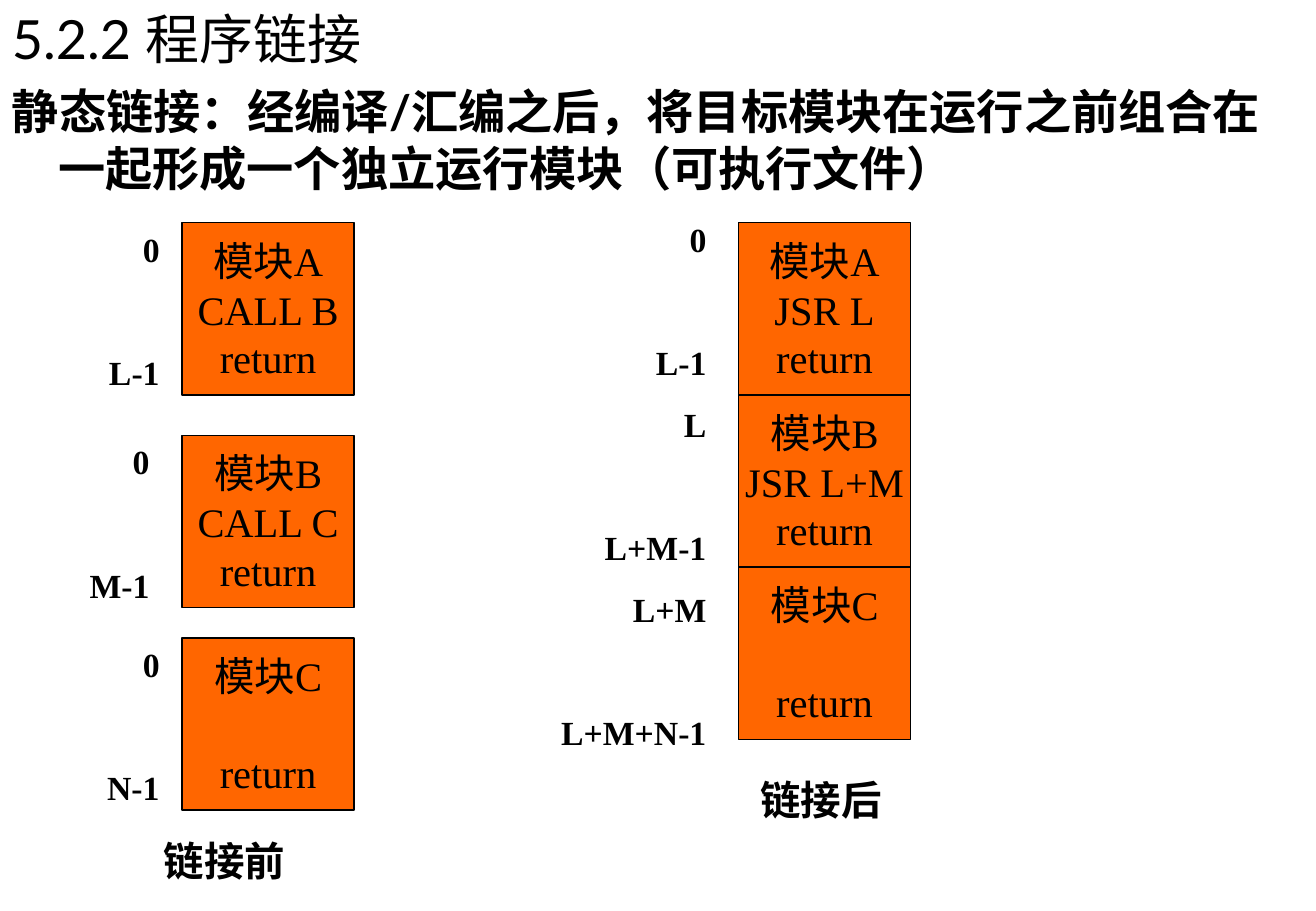
import pptx
import pptx.dml.color
import pptx.enum.shapes
import pptx.enum.text
import pptx.oxml
import pptx.oxml.ns
import pptx.util
from pptx.util import Cm

ALIGN = pptx.enum.text.PP_ALIGN
ANCHOR = pptx.enum.text.MSO_ANCHOR
AUTO_SIZE = pptx.enum.text.MSO_AUTO_SIZE

# Content: None marks an empty line's height between two lines
HEADING = "5.2.2 程序链接"
DEFINITION = "静态链接：经编译/汇编之后，将目标模块在运行之前组合在一起形成一个独立运行模块（可执行文件）"

# top, lines, left of the address labels, address labels
MODULES_BEFORE = [
    (4.66, ["模块A", "CALL B", "return"], 1.48, ["0", None, "L-1"]),
    (9.1, ["模块B", "CALL C", "return"], 1.27, ["0", None, "M-1"]),
    (13.34, ["模块C", None, "return"], 1.48, ["0", None, "N-1"]),
]
MODULES_AFTER = [
    ["模块A", "JSR L", "return"],
    ["模块B", "JSR L+M", "return"],
    ["模块C", None, "return"],
]
ADDRESSES_AFTER = ["0", None, "L-1", "L", None, "L+M-1", "L+M", None, "L+M+N-1"]
CAPTIONS = [("链接后", 15.66, 16.09), ("链接前", 3.18, 17.36)]

# Layout in centimetres
MODULE_SIZE = 3.6
BEFORE_LEFT, AFTER_LEFT = 3.81, 15.45
STACK_TOP = 4.66
LINE_HEIGHT = 1.2
SERIF, SANS = "Times New Roman", "Lato"
BLACK, ORANGE = "000000", "FF6600"


def colour(hex_code):
    return pptx.dml.color.RGBColor.from_string(hex_code)


def format_paragraph(para, size, font, bold=False, align=ALIGN.LEFT, before=0):
    para.alignment = align
    para.line_spacing = pptx.util.Pt(size * LINE_HEIGHT)
    para.space_before = pptx.util.Pt(before)
    for span in para.runs:
        span.font.size = pptx.util.Pt(size)
        span.font.name = font
        span.font.bold = bold
        span.font.color.rgb = colour(BLACK)
        east_asian = pptx.oxml.parse_xml(
            f'<a:ea {pptx.oxml.ns.nsdecls("a")} typeface="{SANS}"/>')
        span.font._element.find(pptx.oxml.ns.qn("a:latin")).addnext(east_asian)


def fill_lines(frame, lines, size, gap=0, **style):
    """Write lines; each None becomes extra space before the next line."""
    frame.text = "\n".join(line for line in lines if line)
    paragraphs = iter(frame.paragraphs)
    before = 0
    for line in lines:
        if line is None:
            before += size * LINE_HEIGHT + gap
        else:
            format_paragraph(next(paragraphs), size, SERIF, before=before, **style)
            before = gap


def add_text_box(left, top, width, height):
    box = slide.shapes.add_textbox(Cm(left), Cm(top), Cm(width), Cm(height))
    box.text_frame.word_wrap = True
    return box.text_frame


def add_module(left, top, lines):
    box = slide.shapes.add_shape(pptx.enum.shapes.MSO_SHAPE.RECTANGLE,
                                 Cm(left), Cm(top), Cm(MODULE_SIZE), Cm(MODULE_SIZE))
    box.shadow.inherit = False
    box.fill.solid()
    box.fill.fore_color.rgb = colour(ORANGE)
    box.line.color.rgb = colour(BLACK)
    box.line.width = pptx.util.Pt(0.75)
    box.text_frame.word_wrap = False
    box.text_frame.vertical_anchor = ANCHOR.MIDDLE
    fill_lines(box.text_frame, lines, 24, align=ALIGN.CENTER)


def add_addresses(left, top, width, height, labels):
    frame = add_text_box(left, top, width, height)
    frame.auto_size = AUTO_SIZE.SHAPE_TO_FIT_TEXT
    fill_lines(frame, labels, 20, gap=12.5, bold=True, align=ALIGN.RIGHT)


deck = pptx.Presentation()
deck.slide_width, deck.slide_height = Cm(27.53), Cm(19.05)
slide = deck.slides.add_slide(deck.slide_layouts[6])

# Heading and definition with a hanging indent
intro = add_text_box(0, 0, 27.51, 4.24)
intro.text = f"{HEADING}\n{DEFINITION}"
for para, size, bold, before in zip(intro.paragraphs, (32, 28), (False, True), (0, 7)):
    format_paragraph(para, size, SANS, bold, before=before)
    properties = para._p.get_or_add_pPr()
    properties.set("marL", str(Cm(0.97)))
    properties.set("indent", str(Cm(-0.97)))

# Separate modules before linking
for top, lines, label_left, labels in MODULES_BEFORE:
    add_module(BEFORE_LEFT, top, lines)
    add_addresses(label_left, top, 2.11, 3.68, labels)

# One stacked module after linking
for index, lines in enumerate(MODULES_AFTER):
    add_module(AFTER_LEFT, STACK_TOP + index * MODULE_SIZE, lines)
add_addresses(10.37, 4.45, 4.66, 11.4, ADDRESSES_AFTER)

# Captions
for caption, left, top in CAPTIONS:
    frame = add_text_box(left, top, 4.87, 1.28)
    frame.auto_size = AUTO_SIZE.SHAPE_TO_FIT_TEXT
    fill_lines(frame, [caption], 24, bold=True)

deck.save("out.pptx")
